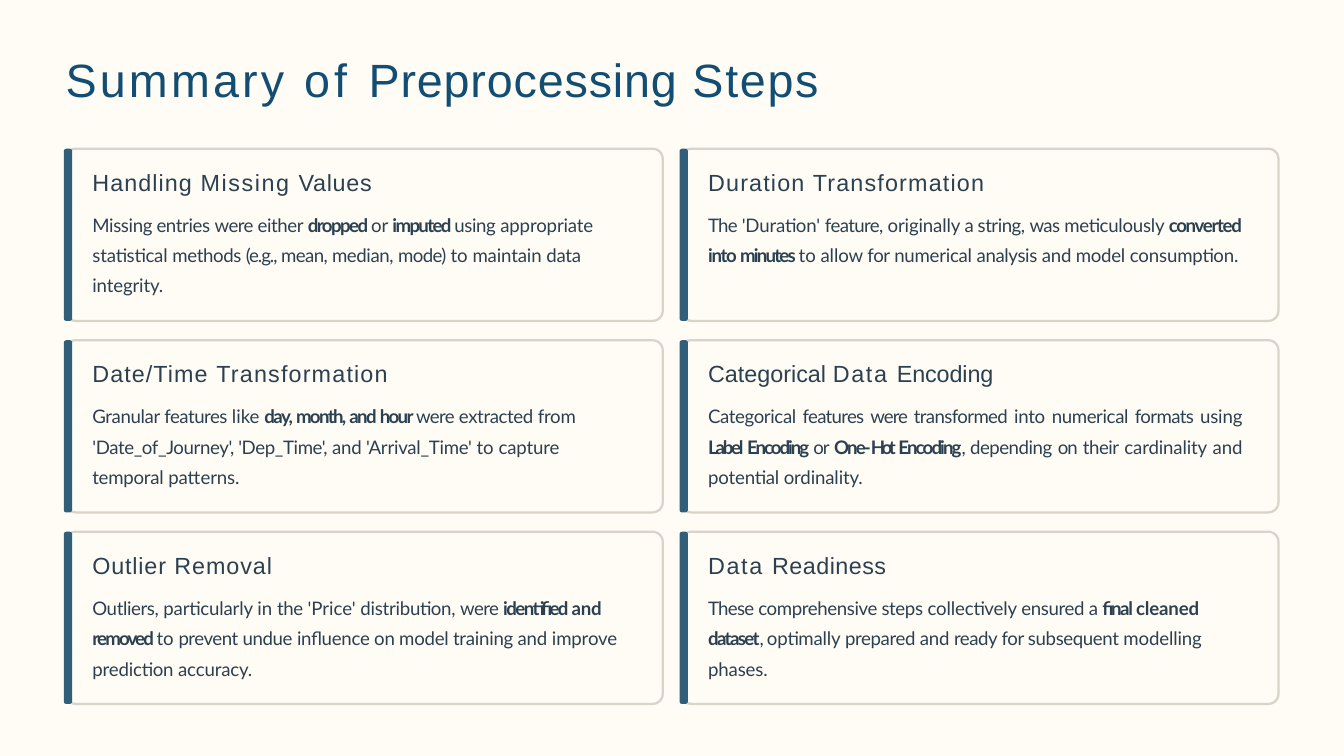
from pptx import Presentation
from pptx.dml.color import RGBColor
from pptx.enum.shapes import MSO_SHAPE
from pptx.enum.text import PP_ALIGN
from pptx.util import Inches, Pt

ROUNDED = MSO_SHAPE.ROUNDED_RECTANGLE
LEFT, JUSTIFIED = PP_ALIGN.LEFT, PP_ALIGN.JUSTIFY
BOLD = True
COLUMNS, ROWS = 16, 9

CARD_LEFT, CARD_TOP = 0.78, 1.77
CARD_WIDTH, CARD_HEIGHT = 7.11, 2.05
COLUMN_STEP, ROW_STEP = 7.33, 2.28

# Every run is (text, letter spacing in points[, BOLD]).
TITLE = [("Summary ", 2.8), ("of ", 3.6), ("Preprocessing ", 0.8), ("Steps", 1.5)]

# Every card is (text width, alignment, heading runs, body runs), row by row.
CARDS = [
    (6.12, LEFT,
     [("Handling ", 0.9), ("Missing ", 1.3), ("Values", 0.6)],
     [("Missing entries ", -0.3), ("were ", -0.5), ("either ", -0.3),
      ("dropped ", -1.3, BOLD), ("or ", -0.2), ("imputed ", -1.4, BOLD),
      ("using ", -0.3), ("appropriate statistical ", -0.1), ("methods ", -0.3),
      ("(e.g., ", -0.9), ("mean, ", -0.5), ("median, ", -0.3), ("mode) ", -0.5),
      ("to ", 0), ("maintain ", -0.1), ("data ", -0.2), ("integrity.", -0.1)]),
    (6.49, LEFT,
     [("Duration Transformation", 1)],
     [("The ", -0.6), ("'Duration' ", -0.1), ("feature, ", -0.5),
      ("originally ", -0.1), ("a string, ", -0.4), ("was ", -0.5),
      ("meticulously ", -0.2), ("converted into ", -1.1, BOLD),
      ("minutes ", -1.5, BOLD), ("to ", 0), ("allow ", -0.1), ("for ", -0.3),
      ("numerical ", -0.2), ("analysis ", -0.3), ("and model ", -0.2),
      ("consumption.", -0.1)]),
    (6, LEFT,
     [("Date/Time ", 0.9), ("Transformation", 1)],
     [("Granular ", -0.3), ("features ", -0.4), ("like ", 0),
      ("day, ", -1.3, BOLD), ("month, ", -1.4, BOLD), ("and ", -1.3, BOLD),
      ("hour ", -1.4, BOLD), ("were ", -0.5), ("extracted ", -0.3),
      ("from ", -0.2), ("'Date_of_Journey', 'Dep_Time', ", -0.3),
      ("and 'Arrival_Time' ", -0.2), ("to ", 0), ("capture ", -0.1),
      ("temporal ", -0.2), ("patterns.", -0.1)]),
    (6.37, JUSTIFIED,
     [("Categorical ", 0), ("Data ", 1.4), ("Encoding", -0.1)],
     [("Categorical ", -0.3), ("features ", -0.6), ("were ", -0.8),
      ("transformed ", -0.5), ("into ", -0.2), ("numerical ", -0.3),
      ("formats ", -0.5), ("using ", -0.1), ("Label ", -1.9, BOLD),
      ("Encoding ", -1.7, BOLD), ("or ", -0.9), ("One-", -1.6, BOLD),
      ("Hot ", -2.8, BOLD), ("Encoding", -1.6, BOLD), (", ", -1.6),
      ("depending ", -0.4), ("on ", -0.9), ("their ", -0.4),
      ("cardinality and potential ordinality.", -0.1)]),
    (6.33, LEFT,
     [("Outlier ", 0.7), ("Removal", 0.8)],
     [("Outliers, ", -0.3), ("particularly ", -0.1), ("in ", 0), ("the ", -0.3),
      ("'Price' ", 0), ("distribution, ", -0.2), ("were ", -0.5),
      ("identified ", -1.3, BOLD), ("and ", -0.2, BOLD),
      ("removed ", -1.6, BOLD), ("to ", 0), ("prevent ", -0.4),
      ("undue ", -0.3), ("influence on model training and ", -0.2),
      ("improve prediction accuracy.", -0.1)]),
    (6.02, LEFT,
     [("Data ", 1.4), ("Readiness", 0.4)],
     [("These ", -0.6), ("comprehensive steps ", -0.3), ("collectively ", -0.1),
      ("ensured ", -0.3), ("a ", -0.4), ("final ", -1.2, BOLD),
      ("cleaned ", -0.1, BOLD), ("dataset", -1.4, BOLD), (", ", -1.4),
      ("optimally ", -0.1), ("prepared ", -0.3), ("and ", -0.2),
      ("ready ", -0.4), ("for subsequent ", -0.3), ("modelling phases.", -0.1)]),
]


def color(value):
    return RGBColor.from_string(value)


class SummarySlide:
    """Lengths are columns and rows of a 16 by 9 grid."""

    heading_font, body_font = "Arial", "Lato"
    paper, navy, ink = "FFFBF5", "124E73", "2B4150"
    border, accent = "D9D3C8", "315F7A"

    def __init__(self, deck):
        self.column = deck.slide_width / COLUMNS
        self.row = deck.slide_height / ROWS
        self.page = deck.slides.add_slide(deck.slide_layouts[6])
        fill = self.page.background.fill
        fill.solid()
        fill.fore_color.rgb = color(self.paper)

    def frame(self, left, top, width, height):
        return (round(left * self.column), round(top * self.row),
                round(width * self.column), round(height * self.row))

    def rounded(self, left, top, width, height, radius, fill, line=None):
        shape = self.page.shapes.add_shape(
            ROUNDED, *self.frame(left, top, width, height))
        shape.shadow.inherit = False
        shape.adjustments[0] = radius / min(width, height)
        shape.fill.solid()
        shape.fill.fore_color.rgb = color(fill)
        if line:
            shape.line.color.rgb = color(line)
            shape.line.width = Pt(1.92)
        else:
            shape.line.fill.background()

    def text_box(self, left, top, width, height, inset_left, inset_top):
        box = self.page.shapes.add_textbox(*self.frame(left, top, width, height))
        text = box.text_frame
        text.word_wrap = True
        text.margin_left = round(inset_left * self.column)
        text.margin_top = round(inset_top * self.row)
        text.margin_right = text.margin_bottom = 0
        return text

    def add_runs(self, para, runs, font, size, ink, before, align=LEFT, leading=1.0):
        para.alignment = align
        para.space_before = Pt(before)
        para.line_spacing = leading
        for words, spacing, *bold in runs:
            span = para.add_run()
            span.text = words
            span.font.name = font
            span.font.size = Pt(size)
            span.font.bold = bool(bold)
            span.font.color.rgb = color(ink)
            span._r.get_or_add_rPr().set("spc", str(round(spacing * 100)))

    def title(self, runs):
        text = self.text_box(0.63, 0.46, 12.09, 0.82, 0.15, 0.14)
        self.add_runs(text.paragraphs[0], runs, self.heading_font, 40, self.navy, 1.1)

    def card(self, index, text_width, align, heading, body):
        row, column = divmod(index, 2)
        left = CARD_LEFT + column * COLUMN_STEP
        top = CARD_TOP + row * ROW_STEP
        self.rounded(left, top, CARD_WIDTH, CARD_HEIGHT, 0.12, self.paper, self.border)
        self.rounded(left - 0.02, top, 0.1, CARD_HEIGHT, 0.03, self.accent)
        text = self.text_box(left + 0.31, top + 0.22, text_width, 1.56, 0.01, 0.01)
        self.add_runs(text.paragraphs[0], heading, self.heading_font, 20,
                      self.ink, 0.9, align)
        self.add_runs(text.add_paragraph(), body, self.body_font, 16,
                      self.ink, 8.1, align, 1.36)


def main():
    deck = Presentation()
    deck.slide_width, deck.slide_height = Inches(16), Inches(9)
    summary = SummarySlide(deck)
    summary.title(TITLE)
    for index, card in enumerate(CARDS):
        summary.card(index, *card)
    deck.save("out.pptx")


if __name__ == "__main__":
    main()
